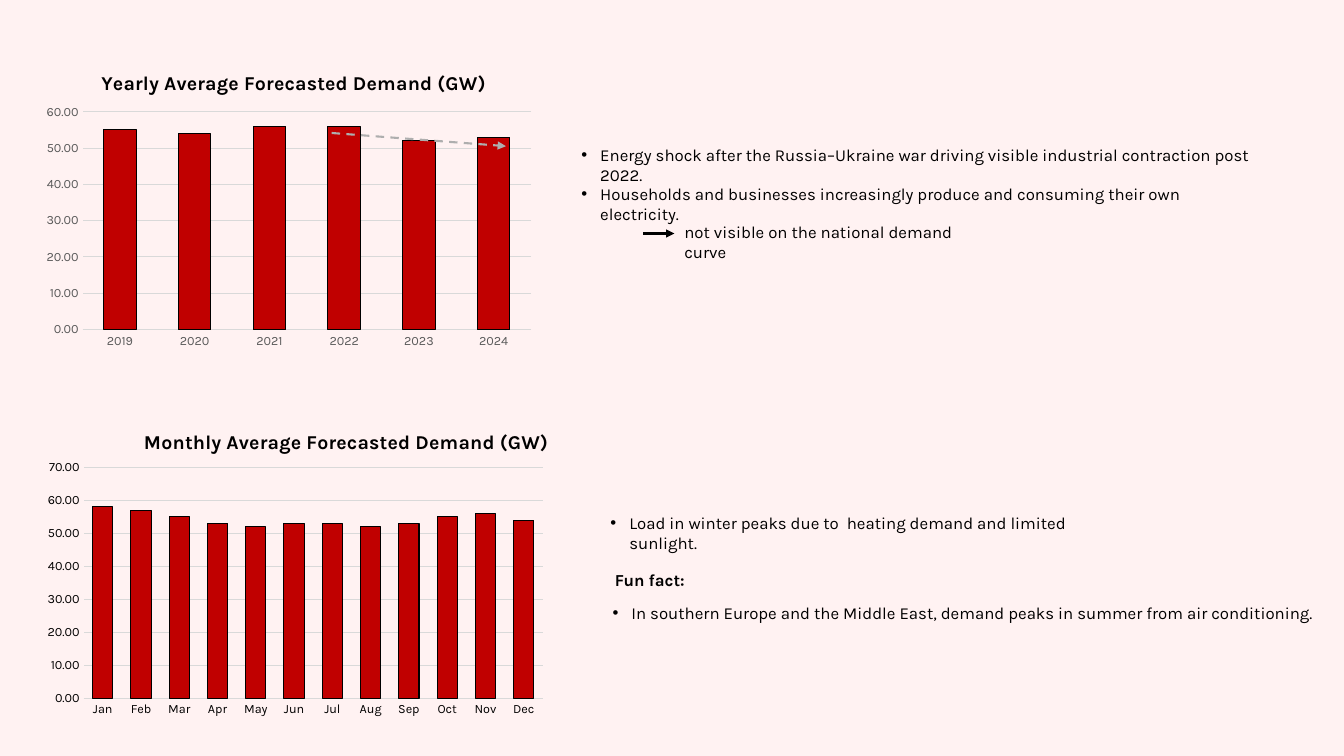
from pptx import Presentation
from pptx.chart.data import CategoryChartData
from pptx.dml.color import RGBColor
from pptx.enum.chart import XL_CHART_TYPE as ChartType, XL_TICK_MARK as TickMark
from pptx.enum.dml import MSO_LINE as LineDash
from pptx.enum.shapes import MSO_CONNECTOR as Connector
from pptx.oxml import parse_xml
from pptx.oxml.ns import nsdecls, qn
from pptx.util import Pt

FONT = "Karla"
BLACK = RGBColor(0, 0, 0)
RED = RGBColor(0xC0, 0, 0)
PINK = RGBColor(0xFF, 0xF2, 0xF2)
DARK_GREY = RGBColor(0x59, 0x59, 0x59)
LIGHT_GREY = RGBColor(0xD9, 0xD9, 0xD9)
TREND_GREY = RGBColor(0xAE, 0xAE, 0xAE)

CHARTS = [
    {
        "title": "Yearly Average Forecasted Demand (GW)",
        "box": (26.6, 36.7, 360, 216),
        "values": {"2019": 55, "2020": 54, "2021": 56, "2022": 56, "2023": 52, "2024": 53},
        "top": 60, "gap": 130, "label_color": DARK_GREY,
        "title_place": {"x": 0.12, "y": 0.05},
        "plot_place": {"x": 0.09, "y": 0.2, "w": 0.89, "h": 0.72},
    },
    {
        "title": "Monthly Average Forecasted Demand (GW)",
        "box": (26.6, 290.9, 368.6, 226.1),
        "values": {"Jan": 58, "Feb": 57, "Mar": 55, "Apr": 53, "May": 52, "Jun": 53,
                   "Jul": 53, "Aug": 52, "Sep": 53, "Oct": 55, "Nov": 56, "Dec": 54},
        "top": 70, "gap": 89, "label_color": BLACK,
        "title_place": {"x": 0.2, "y": 0.06},
        "plot_place": {"x": 0.09, "y": 0.19, "w": 0.89, "h": 0.73},
    },
]

NOTES = [
    ("Energy shock after the Russia–Ukraine war driving visible industrial contraction post 2022.",
     (408.2, 100, 496.8), {"bullet": True}),
    ("Households and businesses increasingly produce and consuming their own electricity.",
     (408.2, 127.5, 488), {"bullet": True}),
    ("Load in winter peaks due to  heating demand and limited sunlight.",
     (429, 362.9, 376.5), {"bullet": True}),
    (" Fun fact:", (429, 403.2, 68.4), {"bold": True}),
    ("In southern Europe and the Middle East, demand peaks in summer from air conditioning.",
     (430.5, 427, 515.5), {"bullet": True}),
]
CONSEQUENCE = ("not visible on the national demand curve", (481.7, 154.8, 226))
NOTE_HEIGHT = 24
BULLET_INDENT = 13.5
CONSEQUENCE_ARROW = (459.4, 166.8, 481.7, 166.8)
TREND_ARROW = (236.9, 95, 361.4, 104.4)


def set_values(target, values):
    for name, value in values.items():
        setattr(target, name, value)


def set_font(font, size, color, bold=False):
    set_values(font, {"name": FONT, "size": Pt(size), "bold": bold})
    font.color.rgb = color


def set_line(line, color, width):
    line.color.rgb = color
    line.width = Pt(width)


def add_note(slide, text, place, bullet=False, bold=False):
    box = slide.shapes.add_textbox(*map(Pt, (*place, NOTE_HEIGHT)))
    box.text_frame.word_wrap = True
    paragraph = box.text_frame.paragraphs[0]
    run = paragraph.add_run()
    run.text = text
    set_font(run.font, 12, BLACK, bold)
    if bullet:
        properties = paragraph._p.get_or_add_pPr()
        properties.set("marL", str(Pt(BULLET_INDENT)))
        properties.set("indent", str(-Pt(BULLET_INDENT)))
        properties.append(parse_xml(f'<a:buFont {nsdecls("a")} typeface="Arial"/>'))
        properties.append(parse_xml(f'<a:buChar {nsdecls("a")} char="•"/>'))
    return box


def add_arrow(slide, ends, color, dash=None):
    arrow = slide.shapes.add_connector(Connector.STRAIGHT, *map(Pt, ends))
    set_line(arrow.line, color, 1.5)
    if dash:
        arrow.line.dash_style = dash
    arrow.line._get_or_add_ln().append(parse_xml(f'<a:tailEnd {nsdecls("a")} type="triangle"/>'))
    arrow._element.spPr.append(parse_xml(f'<a:effectLst {nsdecls("a")}/>'))
    return arrow


def place_element(element, position, place, inner=False):
    for layout in element.findall(qn("c:layout")):
        element.remove(layout)
    target = '<c:layoutTarget val="inner"/>' if inner else ""
    modes = "".join(f'<c:{key}Mode val="edge"/>' for key in "xy")
    sizes = "".join(f'<c:{key} val="{value}"/>' for key, value in place.items())
    element.insert(position, parse_xml(
        f'<c:layout {nsdecls("c")}><c:manualLayout>{target}{modes}{sizes}'
        "</c:manualLayout></c:layout>"))


def add_demand_chart(slide, content):
    data = CategoryChartData(number_format="0.00")
    data.categories = list(content["values"])
    data.add_series("Series 1", list(content["values"].values()))
    frame = slide.shapes.add_chart(
        ChartType.COLUMN_CLUSTERED, *map(Pt, content["box"]), data)
    chart = frame.chart
    set_font(chart.font, 10, BLACK)
    set_values(chart, {"has_legend": False, "has_title": True})

    title_run = chart.chart_title.text_frame.paragraphs[0].add_run()
    title_run.text = content["title"]
    set_font(title_run.font, 14, BLACK, True)
    place_element(chart.chart_title._element, 1, content["title_place"])
    place_element(chart._chartSpace.chart.plotArea, 0, content["plot_place"], True)

    for axis in (chart.category_axis, chart.value_axis):
        set_values(axis, {"major_tick_mark": TickMark.NONE, "minor_tick_mark": TickMark.NONE})
        set_font(axis.tick_labels.font, 9, content["label_color"])
    set_line(chart.category_axis.format.line, LIGHT_GREY, 0.75)
    value_axis = chart.value_axis
    set_values(value_axis, {"minimum_scale": 0, "maximum_scale": content["top"],
                            "major_unit": 10, "has_major_gridlines": True})
    set_values(value_axis.tick_labels, {"number_format": "0.00", "number_format_is_linked": False})
    value_axis.format.line.fill.background()
    set_line(value_axis.major_gridlines.format.line, LIGHT_GREY, 0.75)

    plot = chart.plots[0]
    set_values(plot, {"gap_width": content["gap"], "overlap": -27, "vary_by_categories": False})
    bars = plot.series[0].format
    bars.fill.solid()
    bars.fill.fore_color.rgb = RED
    set_line(bars.line, BLACK, 0.75)


def main():
    presentation = Presentation()
    set_values(presentation, {"slide_width": Pt(960), "slide_height": Pt(540)})
    slide = presentation.slides.add_slide(presentation.slide_layouts[6])
    slide.background.fill.solid()
    slide.background.fill.fore_color.rgb = PINK

    for text, place, style in NOTES:
        add_note(slide, text, place, **style)
    consequence = add_note(slide, *CONSEQUENCE)
    add_arrow(slide, CONSEQUENCE_ARROW, BLACK).end_connect(consequence, 1)
    for content in CHARTS:
        add_demand_chart(slide, content)
    add_arrow(slide, TREND_ARROW, TREND_GREY, LineDash.DASH)
    presentation.save("out.pptx")


if __name__ == "__main__":
    main()
